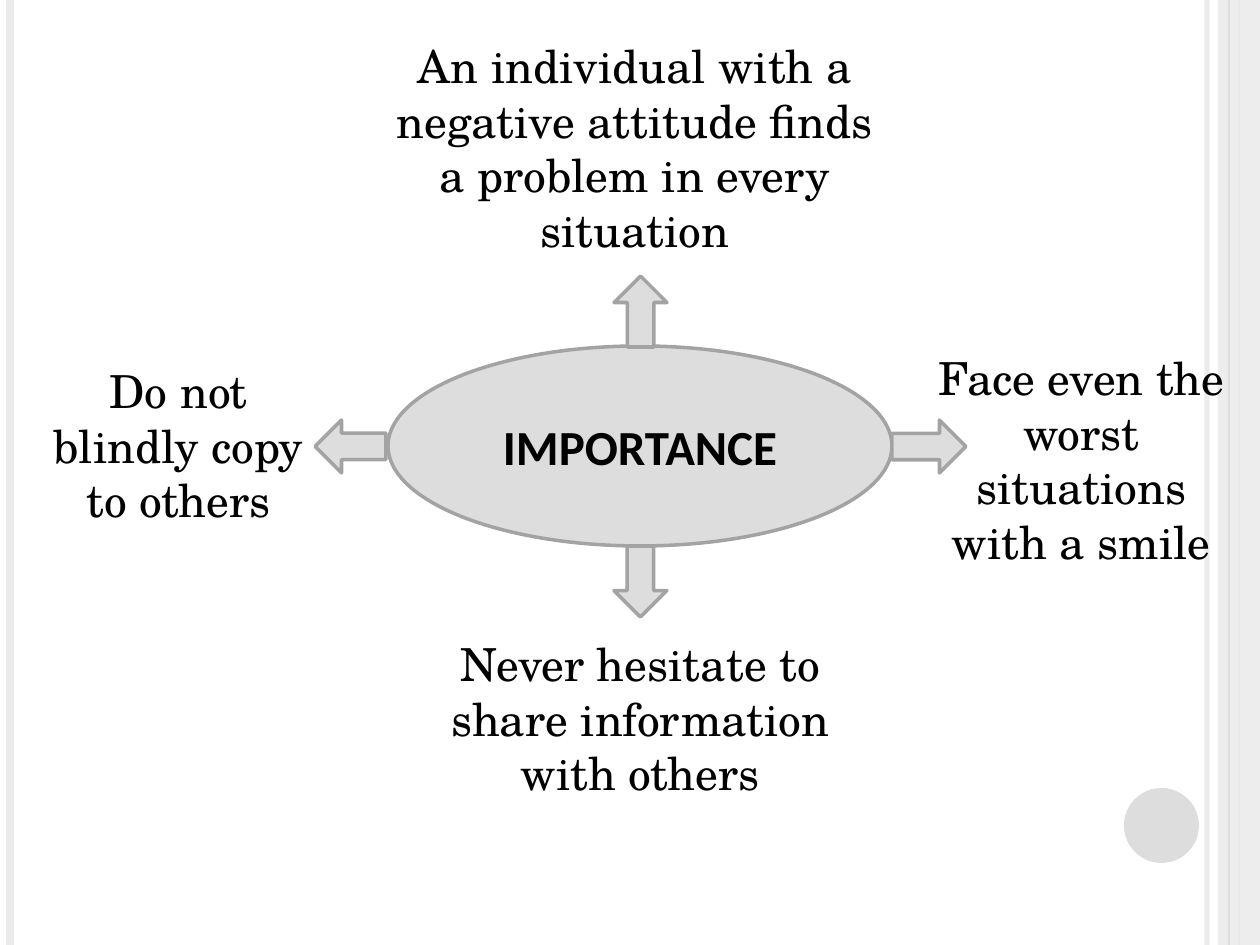
import dataclasses

import pptx
import pptx.dml.color
import pptx.enum.shapes
import pptx.enum.text
import pptx.oxml
import pptx.oxml.ns
import pptx.util

PX = 914400 / 126
WIDTH, HEIGHT = 1260, 945
SHAPE = pptx.enum.shapes.MSO_SHAPE
SILVER, PALE, OUTLINE, BLACK = "DDDDDD", "EBEBEB", "A3A3A3", "000000"


@dataclasses.dataclass
class Box:
    left: int
    top: int
    width: int
    height: int

    def emu(self):
        return [emu(n) for n in (self.left, self.top, self.width, self.height)]


@dataclasses.dataclass
class Stripe:
    x: int
    color: str
    points: float
    opacity: int = 100


@dataclasses.dataclass
class Message:
    text: str
    box: Box
    arrow: Box
    rotation: int


LEFT_STRIPES = [Stripe(1207, PALE, 3, 93), Stripe(10, PALE, 4.5), Stripe(1239, SILVER, 1.5)]
BAND_STRIPE = Stripe(1229, SILVER, 0.75)
BAND = Box(1218, 0, 42, HEIGHT)
DISC = Box(1124, 788, 75, 75)
CENTER = Box(388, 346, 504, 200)
MESSAGES = [
    Message("Do not blindly copy to others",
            Box(32, 357, 293, 178), Box(315, 420, 71, 53), 0),
    Message("Face even the worst situations with a smile",
            Box(924, 344, 315, 233), Box(892, 420, 74, 53), 180),
    Message("An individual with a negative attitude finds a problem in every situation",
            Box(378, 32, 514, 233), Box(605, 285, 71, 53), 90),
    Message("Never hesitate to share information with others",
            Box(436, 630, 409, 178), Box(605, 555, 71, 53), 270),
]


def emu(pixels: int) -> int:
    return round(pixels * PX)


def rgb(color: str) -> pptx.dml.color.RGBColor:
    return pptx.dml.color.RGBColor.from_string(color)


def set_opacity(element, percent: int) -> None:
    """Make the first colour found in the element partly transparent."""
    color = next(element.iter(pptx.oxml.ns.qn("a:srgbClr")))
    alpha = pptx.oxml.parse_xml(
        f'<a:alpha {pptx.oxml.ns.nsdecls("a")} val="{percent * 1000}"/>')
    color.append(alpha)


def add_stripe(page, stripe: Stripe) -> None:
    x = emu(stripe.x)
    line = page.shapes.add_connector(
        pptx.enum.shapes.MSO_CONNECTOR.STRAIGHT, x, 0, x, emu(HEIGHT))
    line.line.color.rgb = rgb(stripe.color)
    line.line.width = pptx.util.Pt(stripe.points)
    properties = line._element.spPr
    if stripe.opacity < 100:
        set_opacity(properties, stripe.opacity)
    properties.append(pptx.oxml.parse_xml(
        f'<a:effectLst {pptx.oxml.ns.nsdecls("a")}/>'))


def add_filled(page, kind, box: Box, fill: str = SILVER, outline: str = ""):
    shape = page.shapes.add_shape(kind, *box.emu())
    shape.shadow.inherit = False
    shape.fill.solid()
    shape.fill.fore_color.rgb = rgb(fill)
    if outline:
        shape.line.color.rgb = rgb(outline)
        shape.line.width = pptx.util.Pt(2)
    else:
        shape.line.fill.background()
    return shape


def write(frame, text: str, font: str, points: int, bold: bool = False) -> None:
    frame.word_wrap = True
    para = frame.paragraphs[0]
    para.text = text
    para.alignment = pptx.enum.text.PP_ALIGN.CENTER
    para.font.name = font
    para.font.size = pptx.util.Pt(points)
    para.font.bold = bold
    para.font.color.rgb = rgb(BLACK)


def add_message(page, message: Message) -> None:
    arrow = add_filled(page, SHAPE.LEFT_ARROW, message.arrow, outline=OUTLINE)
    arrow.rotation = message.rotation
    frame = page.shapes.add_textbox(*message.box.emu()).text_frame
    write(frame, message.text, "TeX Gyre Schola", 26)
    frame.auto_size = pptx.enum.text.MSO_AUTO_SIZE.SHAPE_TO_FIT_TEXT


def main() -> None:
    deck = pptx.Presentation()
    deck.slide_width, deck.slide_height = emu(WIDTH), emu(HEIGHT)
    page = deck.slides.add_slide(deck.slide_layouts[6])

    for stripe in LEFT_STRIPES:
        add_stripe(page, stripe)
    band = add_filled(page, SHAPE.RECTANGLE, BAND, PALE)
    set_opacity(band._element.spPr, 87)
    add_stripe(page, BAND_STRIPE)
    add_filled(page, SHAPE.OVAL, DISC)

    center = add_filled(page, SHAPE.OVAL, CENTER, outline=OUTLINE)
    center.text_frame.vertical_anchor = pptx.enum.text.MSO_ANCHOR.MIDDLE
    write(center.text_frame, "IMPORTANCE", "Calibri", 28, bold=True)
    for message in MESSAGES:
        add_message(page, message)
    deck.save("out.pptx")


if __name__ == "__main__":
    main()
